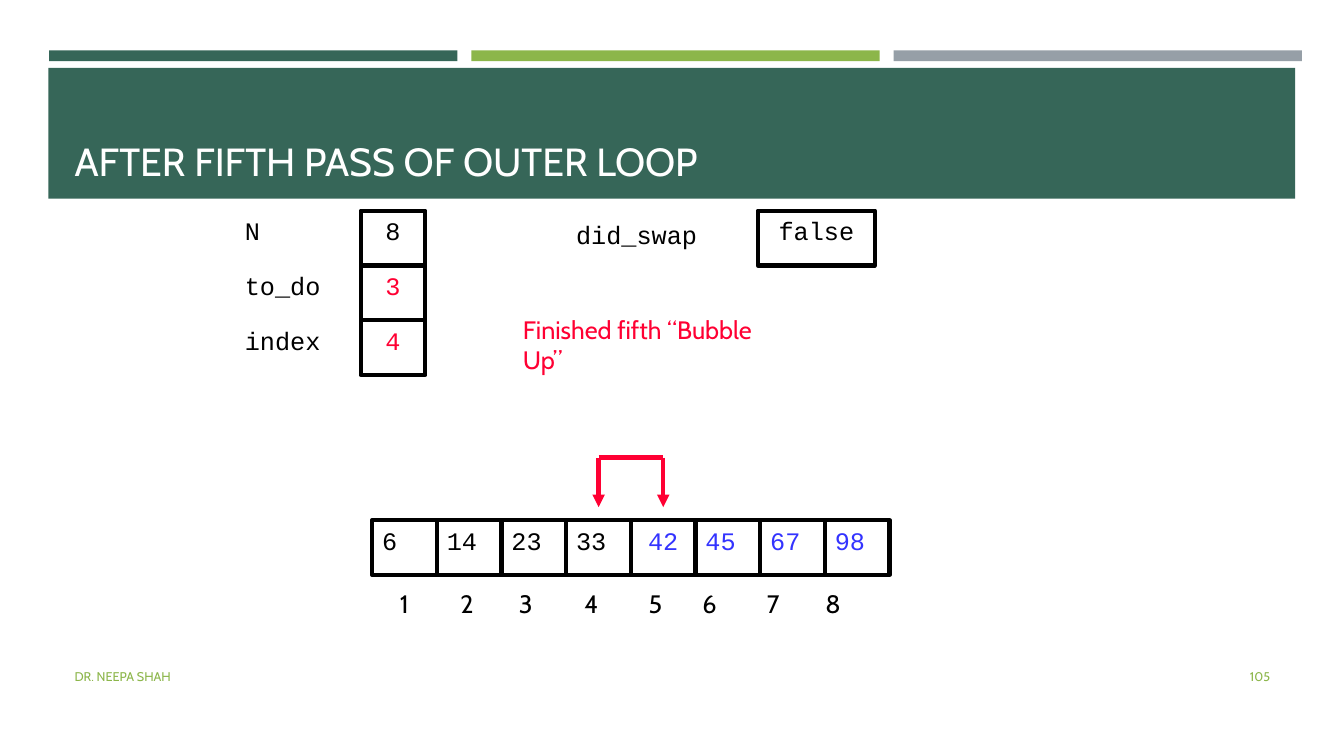
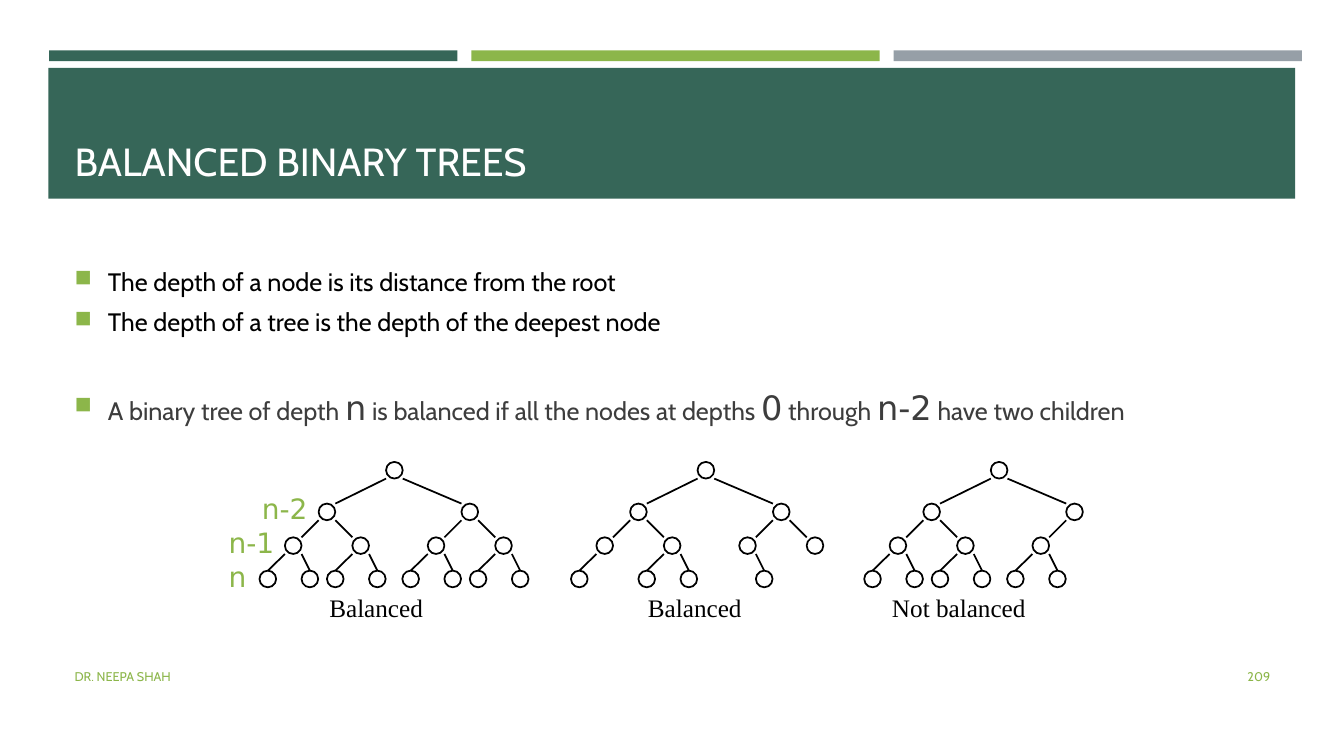
"""Build two lecture slides: a bubble sort trace and balanced binary trees."""
from lxml import etree
from pptx import Presentation
from pptx.dml.color import RGBColor
from pptx.enum.shapes import MSO_CONNECTOR, MSO_SHAPE
from pptx.enum.text import MSO_ANCHOR, PP_ALIGN
from pptx.oxml.ns import qn
from pptx.util import Cm, Pt

RECT, OVAL = MSO_SHAPE.RECTANGLE, MSO_SHAPE.OVAL
LINE = MSO_CONNECTOR.STRAIGHT
TOP, MID, LOW = MSO_ANCHOR.TOP, MSO_ANCHOR.MIDDLE, MSO_ANCHOR.BOTTOM
LEFT, MEAN, RIGHT, BOTH = PP_ALIGN.LEFT, PP_ALIGN.CENTER, PP_ALIGN.RIGHT, PP_ALIGN.JUSTIFY
PINE, LIME, GREY, WHITE = "366658", "8CB64A", "969FA7", "FFFFFF"
BLACK, RED, BLUE, DARK = "000000", "FF0033", "3333FF", "3D3D3D"
SANS, MONO, WIDE, SERIF = "Cabin", "Courier New", "DejaVu Sans", "Times New Roman"
color = RGBColor.from_string


def put(page, at, paras=(), form=None, fill=None, line=None, width=3, align=LEFT, anchor=TOP):
    """Add a shape or text box holding paragraphs of (text, size, font, colour) runs."""
    spot = [Cm(n) for n in at]
    if form is None:
        item = page.shapes.add_textbox(*spot)
    else:
        item = page.shapes.add_shape(form, *spot)
        item.shadow.inherit = False
        if fill:
            item.fill.solid()
            item.fill.fore_color.rgb = color(fill)
        else:
            item.fill.background()
        if line:
            item.line.color.rgb = color(line)
            item.line.width = Pt(width)
        else:
            item.line.fill.background()
    frame = item.text_frame
    frame.word_wrap = True
    frame.vertical_anchor = anchor
    for i, runs in enumerate(paras):
        para = frame.add_paragraph() if i else frame.paragraphs[0]
        para.alignment = align
        for text, size, font, ink in runs:
            run = para.add_run()
            run.text = text
            run.font.size = Pt(size)
            run.font.name = font
            run.font.color.rgb = color(ink)
    return frame


def link(page, ends, ink, width, arrow=False):
    """Draw a straight line, with an arrowhead at its end if asked."""
    wire = page.shapes.add_connector(LINE, *[Cm(n) for n in ends])
    wire.line.color.rgb = color(ink)
    wire.line.width = Pt(width)
    if arrow:
        etree.SubElement(wire.line._get_or_add_ln(), qn("a:tailEnd"), type="triangle")
    etree.SubElement(wire._element.spPr, qn("a:effectLst"))


deck = Presentation()
deck.slide_width, deck.slide_height = Cm(33.87), Cm(19.05)
pages = []
for title, number in [("AFTER FIFTH PASS OF OUTER LOOP", "105"), ("BALANCED BINARY TREES", "209")]:
    page = deck.slides.add_slide(deck.slide_layouts[6])
    for i, tone in enumerate([PINE, LIME, GREY]):
        put(page, (1.24 + 10.64 * i, 1.27, 10.29, 0.27), form=RECT, fill=tone)
    put(page, (1.22, 1.71, 31.42, 3.3), form=RECT, fill=PINE)
    put(page, (1.63, 1.96, 30.63, 2.82), [[(title, 28, SANS, WHITE)]], anchor=LOW)
    put(page, (1.63, 16.54, 19.2, 1.02), [[("DR. NEEPA SHAH", 9, SANS, LIME)]], anchor=MID)
    put(page, (29.34, 16.54, 2.92, 1.02), [[(number, 9, SANS, LIME)]], align=RIGHT, anchor=MID)
    pages.append(page)
sort, trees = pages

high = 1.38
for i, (name, value, ink) in enumerate([("N", "8", BLACK), ("to_do", "3", RED), ("index", "4", RED)]):
    y = 5.31 + high * i
    put(sort, (5.92, y, 3, 1.02), [[(name, 18, MONO, BLACK)]])
    put(sort, (9.09, y, 1.63, high), [[(value, 18, MONO, ink)]], RECT, line=BLACK, align=MEAN)
put(sort, (14.27, 5.41, 5.11, 1.02), [[("did_swap", 18, MONO, BLACK)]])
put(sort, (19.1, 5.31, 2.95, high), [[("false", 18, MONO, BLACK)]], RECT, line=BLACK, align=MEAN)
put(sort, (12.93, 7.8, 7.19, 1.02), [[("Finished fifth “Bubble Up”", 18, SANS, RED)]])

cell, start = 1.63, 9.38
for i, value in enumerate(["6", "14", "23", "33", "42", "45", "67", "98"]):
    put(sort, (start + cell * i, 13.11, cell, high), [[(value, 18, MONO, BLUE if i > 3 else BLACK)]],
        RECT, line=BLACK, align=MEAN if i == 4 else LEFT)
first, second = start + cell * 3.5, start + cell * 4.5
for x in (first, second):
    link(sort, (x, 11.53, x, 12.78), RED, 3, True)
link(sort, (first, 11.53, second, 11.53), RED, 3)

marks = "\t".join(str(n) for n in range(1, 9))
frame = put(sort, (9.83, 14.71, 13.59, 1.02), [[(marks, 18, SANS, BLACK)]])
tabs = etree.SubElement(frame.paragraphs[0]._p.get_or_add_pPr(), qn("a:tabLst"))
for stop in (1.52, 3, 4.65, 6.27, 7.62, 9.25, 10.72):
    etree.SubElement(tabs, qn("a:tab"), pos=str(Cm(stop)), algn="l")

frame = put(trees, (1.63, 3.68, 30.63, 10.21), [
    [("The depth of a node is its distance from the root", 18, SANS, BLACK)],
    [("The depth of a tree is the depth of the deepest node", 18, SANS, BLACK)],
    [("A binary tree of depth ", 18, SANS, DARK), ("n", 24, WIDE, DARK),
     (" is balanced if all the nodes at depths ", 18, SANS, DARK), ("0", 24, WIDE, DARK),
     (" through ", 18, SANS, DARK), ("n-2", 24, WIDE, DARK),
     (" have two children", 18, SANS, DARK)],
], align=BOTH, anchor=MID)
for para, gap in zip(frame.paragraphs, (3.6, 3.6, 33)):
    para.line_spacing = 0.9
    para.space_before, para.space_after = Pt(gap), Pt(6)
    props = para._p.get_or_add_pPr()
    props.set("marL", str(Cm(0.84)))
    props.set("indent", str(Cm(-0.84)))
    tint = etree.SubElement(props, qn("a:buClr"))
    etree.SubElement(tint, qn("a:srgbClr"), val=LIME)
    etree.SubElement(props, qn("a:buSzPct"), val="92000")
    etree.SubElement(props, qn("a:buChar"), char="■")

size = 0.42
tops = [11.64, 12.69, 13.54, 14.38]
steps = [{"L": -1.7, "R": 1.9}, {"L": -0.85, "R": 0.85}, {"L": -0.64, "R": 0.42}]
for root, label, left, cut in [
    (9.73, "Balanced", 8.05, []),
    (17.58, "Balanced", 16.08, ["LLR", "RLL", "RRL", "RRR"]),
    (24.97, "Not balanced", 22.23, ["RR"]),
]:
    put(trees, (left, 14.81, 5.28, 1.02), [[(label, 18, SERIF, BLACK)]])
    put(trees, (root, tops[0], size, size), form=OVAL, line=BLACK, width=1.25)
    row = [("", root)]
    for depth, step in enumerate(steps):
        base, top = tops[depth] + size, tops[depth + 1]
        kids = [(way + side, x, x + step[side]) for way, x in row for side in "LR"
                if way + side not in cut]
        for way, x, kid in kids:
            near, far = (0, size) if way[-1] == "L" else (size, 0)
            if depth == 2:
                far = size / 2
            put(trees, (kid, top, size, size), form=OVAL, line=BLACK, width=1.25)
            link(trees, (x + near, base, kid + far, top), BLACK, 1.25)
        row = [(way, kid) for way, x, kid in kids]

for text, x, y in [("n-2", 6.35, 12.27), ("n-1", 5.51, 13.12), ("n", 5.51, 13.97)]:
    put(trees, (x, y, 1.91, 1.12), [[(text, 20, WIDE, LIME)]])

deck.save("out.pptx")
